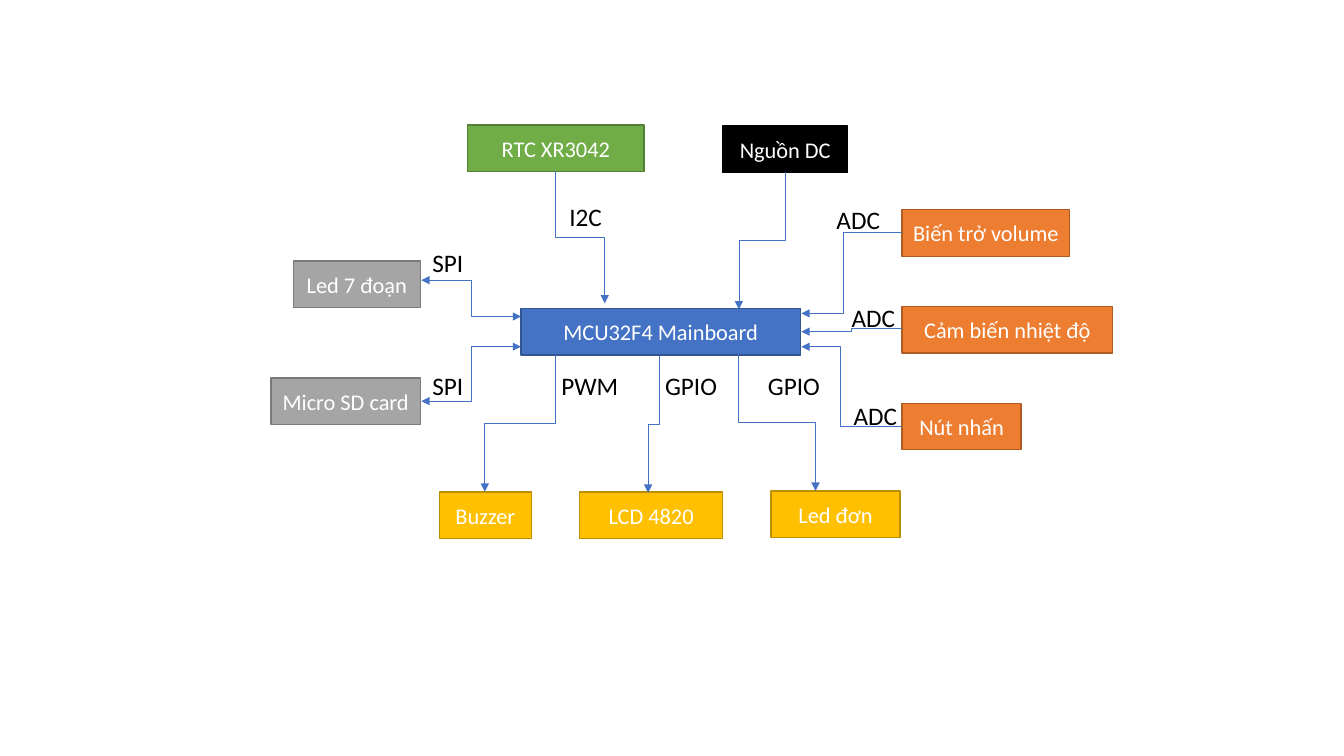
from dataclasses import dataclass
from math import cos, radians, sin

from lxml import etree
from pptx import Presentation
from pptx import util as u
from pptx.dml.color import RGBColor
from pptx.enum import shapes, text
from pptx.oxml import ns


@dataclass(frozen=True)
class Theme:
    font: str = "Calibri"
    box_size: int = 16
    label_size: int = 18
    border: float = 1
    wire: float = 0.5
    wire_colour: str = "4472C4"
    box_text: str = "FFFFFF"
    label_text: str = "000000"
    board: tuple = ("4472C4", "325491")
    sensor: tuple = ("ED7D31", "AF5C24")
    storage: tuple = ("A5A5A5", "7A7A7A")
    power: tuple = ("000000", "000000")
    clock: tuple = ("70AD47", "538035")
    output: tuple = ("FFC000", "BD8E00")


class Diagram:
    columns, rows = 160, 90
    box_height, label_height = 5.55, 4.85

    def __init__(self, presentation, theme):
        self.theme = theme
        self.cell_width = presentation.slide_width / self.columns
        self.cell_height = presentation.slide_height / self.rows
        self.slide = presentation.slides.add_slide(presentation.slide_layouts[6])

    def place(self, column, row):
        return u.Emu(round(column * self.cell_width)), u.Emu(round(row * self.cell_height))

    def apply(self, target, values):
        for name, value in values.items():
            setattr(target, name, value)

    def caption(self, shape, wording, size, colour, frame_format, alignment):
        frame = shape.text_frame
        self.apply(frame, {"word_wrap": False, **frame_format})
        paragraph = frame.paragraphs[0]
        paragraph.alignment = alignment
        run = paragraph.add_run()
        run.text = wording
        self.apply(run.font, {"name": self.theme.font, "size": u.Pt(size)})
        run.font.color.rgb = RGBColor.from_string(colour)

    def box(self, wording, column, row, width, colours):
        shape = self.slide.shapes.add_shape(
            shapes.MSO_SHAPE.RECTANGLE,
            *self.place(column, row), *self.place(width, self.box_height))
        shape.shadow.inherit = False
        shape.fill.solid()
        shape.fill.fore_color.rgb, shape.line.color.rgb = map(RGBColor.from_string, colours)
        shape.line.width = u.Pt(self.theme.border)
        self.caption(shape, wording, self.theme.box_size, self.theme.box_text,
                     {"vertical_anchor": text.MSO_ANCHOR.MIDDLE}, text.PP_ALIGN.CENTER)

    def label(self, wording, column, row, width):
        shape = self.slide.shapes.add_textbox(
            *self.place(column, row), *self.place(width, self.label_height))
        self.caption(shape, wording, self.theme.label_size, self.theme.label_text,
                     {"auto_size": text.MSO_AUTO_SIZE.SHAPE_TO_FIT_TEXT}, text.PP_ALIGN.LEFT)

    def wire(self, start, end, vertical=False, both_ends=False, bend=0.5):
        rightward = end[0] > start[0]
        if vertical:
            turn = 270 if rightward else 90
        else:
            turn = 0 if rightward else 180
        begin, finish = self.place(*start), self.place(*end)
        centre = [(a + b) / 2 for a, b in zip(begin, finish)]
        cosine, sine = cos(radians(turn)), sin(radians(turn))
        ends = []
        for point in (begin, finish):
            across, down = point[0] - centre[0], point[1] - centre[1]
            ends += [u.Emu(round(centre[0] + across * cosine + down * sine)),
                     u.Emu(round(centre[1] - across * sine + down * cosine))]
        connector = self.slide.shapes.add_connector(shapes.MSO_CONNECTOR.ELBOW, *ends)
        connector.line.color.rgb = RGBColor.from_string(self.theme.wire_colour)
        connector.line.width = u.Pt(self.theme.wire)
        properties = connector._element.spPr
        if turn:
            properties.find(ns.qn("a:xfrm")).set("rot", str(turn * 60000))
        if bend != 0.5:
            adjustments = properties.find(ns.qn("a:prstGeom")).find(ns.qn("a:avLst"))
            etree.SubElement(adjustments, ns.qn("a:gd"), name="adj1",
                             fmla=f"val {round(bend * 100000)}")
        line = properties.find(ns.qn("a:ln"))
        for tag in ("a:headEnd", "a:tailEnd") if both_ends else ("a:tailEnd",):
            etree.SubElement(line, ns.qn(tag), type="triangle")
        etree.SubElement(properties, ns.qn("a:effectLst"))


def main():
    presentation = Presentation()
    presentation.slide_width, presentation.slide_height = u.Inches(13.33), u.Inches(7.5)
    theme = Theme()
    diagram = Diagram(presentation, theme)

    diagram.box("MCU32F4 Mainboard", 62.04, 36.72, 33.24, theme.board)
    sensors = (("Biến trở volume", 19.92), ("Cảm biến nhiệt độ", 25.08), ("Nút nhấn", 14.16))
    for index, (wording, width) in enumerate(sensors):
        diagram.box(wording, 107.4, 24.96 + 11.52 * index, width, theme.sensor)
    storage_right = 50.04
    for wording, row, width in (("Led 7 đoạn", 31.08, 15.12), ("Micro SD card", 45, 17.76)):
        diagram.box(wording, storage_right - width, row, width, theme.storage)
    diagram.box("Nguồn DC", 86.04, 15, 14.88, theme.power)
    diagram.box("RTC XR3042", 55.68, 14.88, 21, theme.clock)
    for wording, column, row, width in (
        ("Buzzer", 52.32, 58.56, 10.92),
        ("LCD 4820", 69, 58.56, 17.04),
        ("Led đơn", 91.8, 58.44, 15.36),
    ):
        diagram.box(wording, column, row, width, theme.output)

    for start, end in (
        ((93.48, 20.52), (87.96, 36.84)),
        ((66.12, 20.4), (72, 36.12)),
        ((66.12, 42.24), (57.72, 58.56)),
        ((78.48, 42.36), (77.16, 58.68)),
        ((87.84, 42.12), (97.08, 58.44)),
    ):
        diagram.wire(start, end, vertical=True)
    for start_row, end_row in ((47.76, 41.28), (33.36, 37.68)):
        diagram.wire((50.16, start_row), (62.04, end_row), both_ends=True)
    for start_row, end_row, bend in ((27.72, 37.32, 0.58), (39.12, 39.48, 0.5), (50.76, 41.28, 0.61)):
        diagram.wire((107.4, start_row), (95.4, end_row), bend=bend)

    for wording, column, row, width in (
        ("I2C", 66.6, 23.4, 6.36),
        ("SPI", 50.28, 28.8, 6.12),
        ("SPI", 50.28, 43.44, 6.12),
        ("PWM", 65.64, 43.44, 9.24),
        ("GPIO", 78, 43.44, 8.64),
        ("GPIO", 90.24, 43.44, 8.64),
        ("ADC", 98.4, 23.76, 7.68),
        ("ADC", 100.2, 35.4, 7.68),
        ("ADC", 100.44, 47.04, 7.68),
    ):
        diagram.label(wording, column, row, width)

    presentation.save("out.pptx")


if __name__ == "__main__":
    main()
